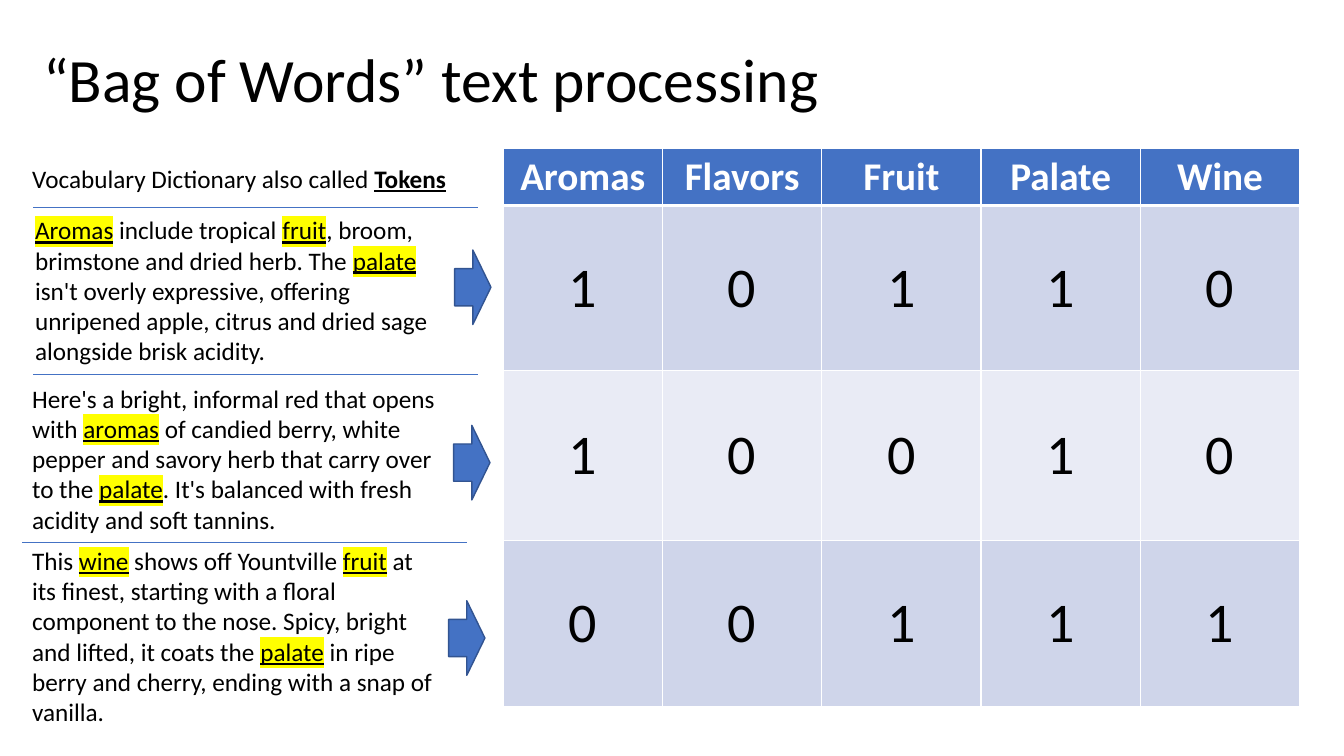
from dataclasses import dataclass

from lxml.etree import SubElement
from pptx import Presentation
from pptx.dml.color import RGBColor
from pptx.enum.shapes import MSO_CONNECTOR, MSO_SHAPE
from pptx.enum.text import MSO_ANCHOR, PP_ALIGN
from pptx.oxml import parse_xml
from pptx.oxml.ns import nsdecls, qn
from pptx.util import Inches, Pt

FONT = "Calibri"
BLUE, DARK_BLUE = "4472C4", "325491"
BAND_DARK, BAND_LIGHT = "CFD5EA", "E9EBF5"
BLACK, WHITE, YELLOW = "000000", "FFFFFF", "FFFF00"

TOKENS = ["Aromas", "Flavors", "Fruit", "Palate", "Wine"]
COUNTS = [[1, 0, 1, 1, 0], [1, 0, 0, 1, 0], [0, 0, 1, 1, 1]]
ROW_HEIGHTS = [0.57, 1.64, 1.68, 1.65]
COLUMN_WIDTH = 1.58

HIGHLIGHTED = {"underline": True, "highlight": YELLOW}
BOLD_TOKEN = {"bold": True, "underline": True}


@dataclass
class TextBlock:
    """Words between asterisks take the marked format."""
    left: float
    top: float
    width: float
    height: float
    text: str
    marked: dict


@dataclass
class Point:
    left: float
    top: float


BLOCKS = [
    TextBlock(0.22, 1.57, 4.31, 0.4, "Vocabulary Dictionary also called *Tokens*", BOLD_TOKEN),
    TextBlock(0.25, 2.08, 4.26, 1.62,
              "*Aromas* include tropical *fruit*, broom, brimstone and dried herb. "
              "The *palate* isn't overly expressive, offering unripened apple, "
              "citrus and dried sage alongside brisk acidity.", HIGHLIGHTED),
    TextBlock(0.22, 3.75, 4.35, 1.62,
              "Here's a bright, informal red that opens with *aromas* of candied berry, "
              "white pepper and savory herb that carry over to the *palate*. "
              "It's balanced with fresh acidity and soft tannins.", HIGHLIGHTED),
    TextBlock(0.22, 5.36, 4.23, 1.92,
              "This *wine* shows off Yountville *fruit* at its finest, starting with a "
              "floral component to the nose. Spicy, bright and lifted, it coats the "
              "*palate* in ripe berry and cherry, ending with a snap of vanilla.", HIGHLIGHTED),
]
RULES = [Point(0.33, 2.06), Point(0.33, 3.71), Point(0.22, 5.38)]
RULE_LENGTH = 4.41
ARROWS = [Point(4.51, 2.48), Point(4.5, 4.22), Point(4.45, 5.96)]


def rgb(color: str) -> RGBColor:
    return RGBColor.from_string(color)


def add_run(p, text: str, size: float, color: str = BLACK, **formats) -> None:
    r = p.add_run()
    r.text = text
    r.font.color.rgb = rgb(color)
    highlight = formats.pop("highlight", None)
    if highlight:
        mark = SubElement(r.font._element, qn("a:highlight"))
        SubElement(mark, qn("a:srgbClr"), val=highlight)
    for name, value in {"name": FONT, "size": Pt(size), **formats}.items():
        setattr(r.font, name, value)


def add_title(s, text: str) -> None:
    tf = s.shapes.add_textbox(Inches(0.33), Inches(0.09), Inches(11.5), Inches(1.45)).text_frame
    tf.word_wrap = True
    tf.vertical_anchor = MSO_ANCHOR.MIDDLE
    p = tf.paragraphs[0]
    p.line_spacing = 0.9
    add_run(p, text, 44)


def add_text_block(s, block: TextBlock) -> None:
    tf = s.shapes.add_textbox(Inches(block.left), Inches(block.top),
                              Inches(block.width), Inches(block.height)).text_frame
    tf.word_wrap = True
    for i, part in enumerate(block.text.split("*")):
        if part:
            add_run(tf.paragraphs[0], part, 18, **(block.marked if i % 2 else {}))


def set_borders(cell, bottom: float) -> None:
    tc_pr = cell._tc.get_or_add_tcPr()
    for i, (side, width) in enumerate({"L": 1, "R": 1, "T": 1, "B": bottom}.items()):
        tc_pr.insert(i, parse_xml(
            f'<a:ln{side} {nsdecls("a")} w="{Pt(width)}"><a:solidFill>'
            f'<a:srgbClr val="{WHITE}"/></a:solidFill></a:ln{side}>'))


def add_count_table(s) -> None:
    rows = [TOKENS] + COUNTS
    table = s.shapes.add_table(len(rows), len(TOKENS), Inches(4.99), Inches(1.47),
                               Inches(COLUMN_WIDTH * len(TOKENS)),
                               Inches(sum(ROW_HEIGHTS))).table
    for column in table.columns:
        column.width = Inches(COLUMN_WIDTH)
    for i, (values, height) in enumerate(zip(rows, ROW_HEIGHTS)):
        header = i == 0
        table.rows[i].height = Inches(height)
        fill = BLUE if header else BAND_DARK if i % 2 else BAND_LIGHT
        for j, value in enumerate(values):
            cell = table.cell(i, j)
            cell.fill.solid()
            cell.fill.fore_color.rgb = rgb(fill)
            # Both sides of the edge below the header need the same width
            set_borders(cell, bottom=3 if header else 1)
            if i == 1:
                cell._tc.tcPr.find(qn("a:lnT")).set("w", str(Pt(3)))
            cell.vertical_anchor = MSO_ANCHOR.TOP if header else MSO_ANCHOR.MIDDLE
            p = cell.text_frame.paragraphs[0]
            p.alignment = PP_ALIGN.CENTER
            add_run(p, str(value), 28 if header else 40,
                    WHITE if header else BLACK, bold=header)


def add_rule(s, start: Point) -> None:
    rule = s.shapes.add_connector(MSO_CONNECTOR.STRAIGHT, Inches(start.left), Inches(start.top),
                                  Inches(start.left + RULE_LENGTH), Inches(start.top))
    rule.line.color.rgb = rgb(BLUE)
    rule.line.width = Pt(0.5)
    SubElement(rule._element.spPr, qn("a:effectLst"))


def add_arrow(s, corner: Point) -> None:
    sp = s.shapes.add_shape(MSO_SHAPE.RIGHT_ARROW, Inches(corner.left), Inches(corner.top),
                            Inches(0.36), Inches(0.74))
    sp.shadow.inherit = False
    sp.fill.solid()
    sp.fill.fore_color.rgb = rgb(BLUE)
    sp.line.color.rgb = rgb(DARK_BLUE)
    sp.line.width = Pt(1)


def main() -> None:
    prs = Presentation()
    prs.slide_width, prs.slide_height = Inches(13.33), Inches(7.5)
    s = prs.slides.add_slide(prs.slide_layouts[6])
    add_title(s, "“Bag of Words” text processing")
    add_count_table(s)
    for block in BLOCKS:
        add_text_block(s, block)
    for start in RULES:
        add_rule(s, start)
    for corner in ARROWS:
        add_arrow(s, corner)
    prs.save("out.pptx")


if __name__ == "__main__":
    main()
